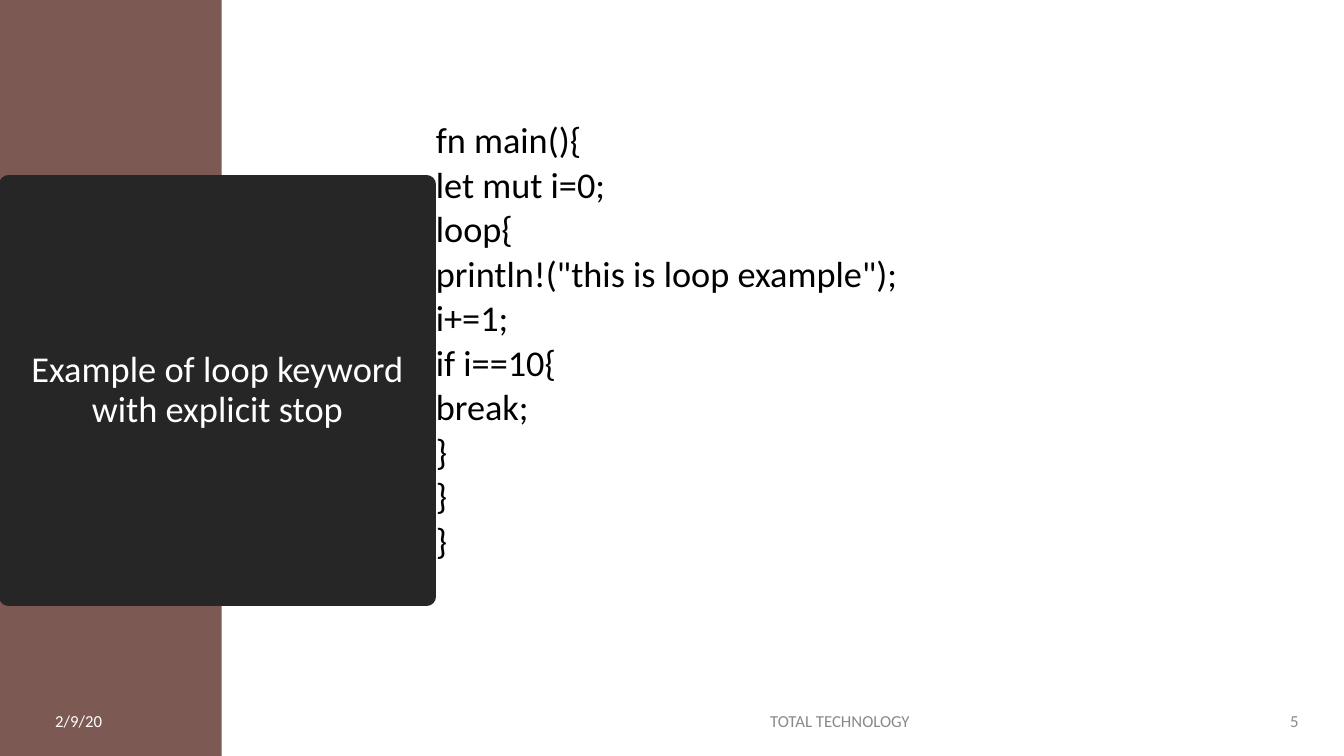
from dataclasses import dataclass

from lxml.etree import SubElement
from pptx import Presentation
from pptx.dml.color import RGBColor
from pptx.enum.shapes import MSO_SHAPE
from pptx.enum.text import MSO_ANCHOR, PP_ALIGN
from pptx.oxml.ns import qn
from pptx.shapes.autoshape import Shape
from pptx.slide import Slide
from pptx.util import Emu, Inches, Pt

COLS, ROWS = 160, 90
CELL = Inches(1) // 12

BROWN = RGBColor(0x7C, 0x59, 0x52)
CHARCOAL = RGBColor(0x26, 0x26, 0x26)
WHITE = RGBColor(0xFF, 0xFF, 0xFF)
GREY = RGBColor(0x89, 0x89, 0x89)
BLACK = RGBColor(0, 0, 0)

CODE = '''fn main(){
let mut i=0;
loop{
println!("this is loop example");
i+=1;
if i==10{
break;
}
}
}'''


@dataclass(frozen=True)
class Area:
    """A place on the slide, in grid columns and rows."""
    col: float
    row: float
    cols: float
    rows: float

    def emu(self) -> list[Emu]:
        return [Emu(round(n * CELL)) for n in (self.col, self.row, self.cols, self.rows)]


@dataclass(frozen=True)
class FooterItem:
    text: str
    col: float
    cols: float
    align: PP_ALIGN
    color: RGBColor


FOOTER_ROW, FOOTER_ROWS = 83.4, 4.8
FOOTER = [
    FooterItem("2/9/20", 5.4, 19.4, PP_ALIGN.LEFT, WHITE),
    FooterItem("TOTAL TECHNOLOGY", 54, 92, PP_ALIGN.CENTER, GREY),
    FooterItem("5", 148.4, 7.4, PP_ALIGN.RIGHT, GREY),
]


def write(sp: Shape, text: str, *, size: float, color: RGBColor,
          align: PP_ALIGN = PP_ALIGN.LEFT, anchor: MSO_ANCHOR = MSO_ANCHOR.MIDDLE,
          spacing: float = 1.0, before: float = 0, after: float = 0) -> None:
    """Fill the shape with one paragraph for each line of text."""
    tf = sp.text_frame
    tf.word_wrap = True
    tf.vertical_anchor = anchor
    for i, line in enumerate(text.split("\n")):
        p = tf.add_paragraph() if i else tf.paragraphs[0]
        p.alignment = align
        p.line_spacing = spacing
        p.space_before = Pt(before if i else 0)
        p.space_after = Pt(after)
        r = p.add_run()
        r.text = line
        r.font.name = "Calibri"
        r.font.size = Pt(size)
        r.font.color.rgb = color


def add_block(s: Slide, area: Area, color: RGBColor, border: float = 0) -> Shape:
    """Draw a plain rectangle; a border gets round corners."""
    sp = s.shapes.add_shape(MSO_SHAPE.RECTANGLE, *area.emu())
    sp.shadow.inherit = False
    sp.fill.solid()
    sp.fill.fore_color.rgb = color
    if border:
        sp.line.color.rgb = color
        sp.line.width = Pt(border)
        SubElement(sp.line._get_or_add_ln(), qn("a:round"))
    else:
        sp.line.fill.background()
    return sp


def main() -> None:
    prs = Presentation()
    prs.slide_width, prs.slide_height = Emu(COLS * CELL), Emu(ROWS * CELL)
    s = prs.slides.add_slide(prs.slide_layouts[6])

    add_block(s, Area(0, 0, 26.4, ROWS), BROWN)
    title = add_block(s, Area(1, 22, 49.8, 49), CHARCOAL, border=13.75)
    write(title, "Example of loop keyword with explicit stop", size=26,
          color=WHITE, align=PP_ALIGN.CENTER, spacing=0.9)

    for item in FOOTER:
        area = Area(item.col, FOOTER_ROW, item.cols, FOOTER_ROWS)
        write(s.shapes.add_textbox(*area.emu()), item.text, size=12,
              color=item.color, align=item.align, after=6)

    code = s.shapes.add_textbox(*Area(50.7, 14.8, 105, 53.5).emu())
    write(code, CODE, size=25.9, color=BLACK, anchor=MSO_ANCHOR.TOP,
          spacing=0.7, before=10)

    prs.save("out.pptx")


if __name__ == "__main__":
    main()
